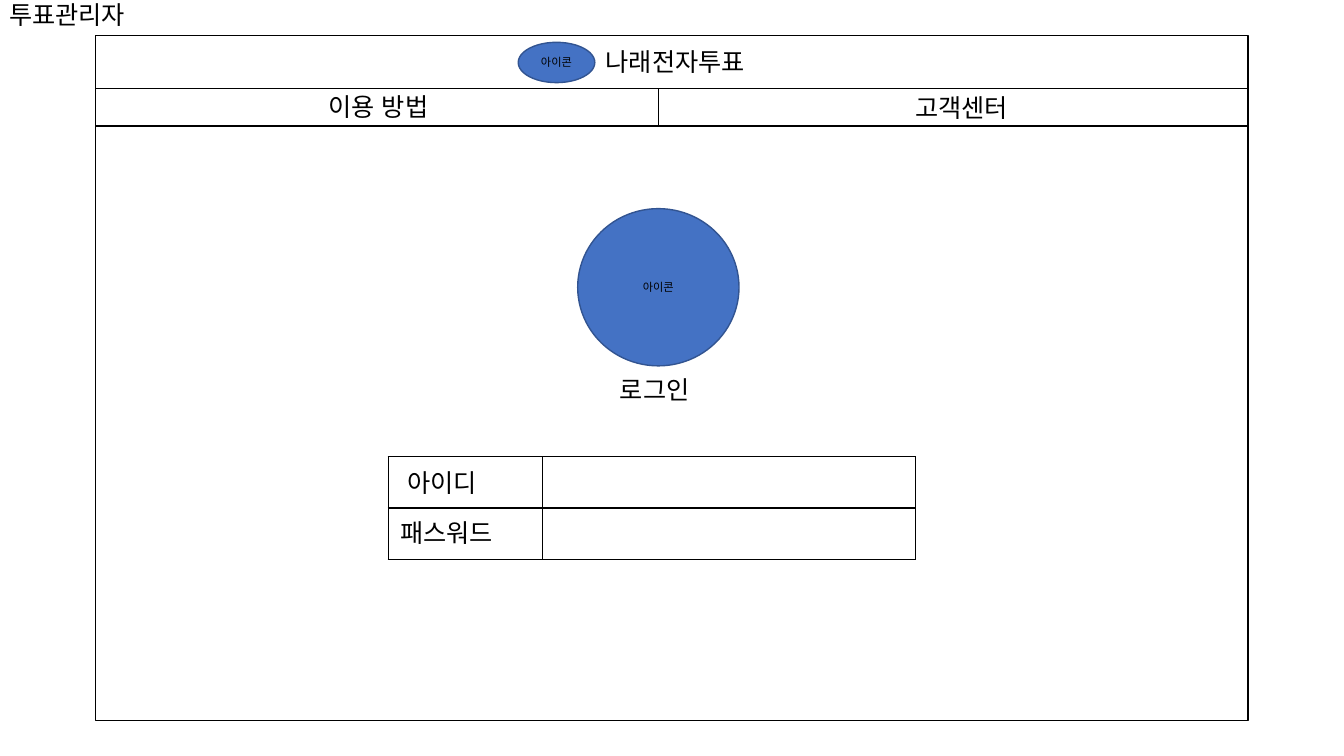
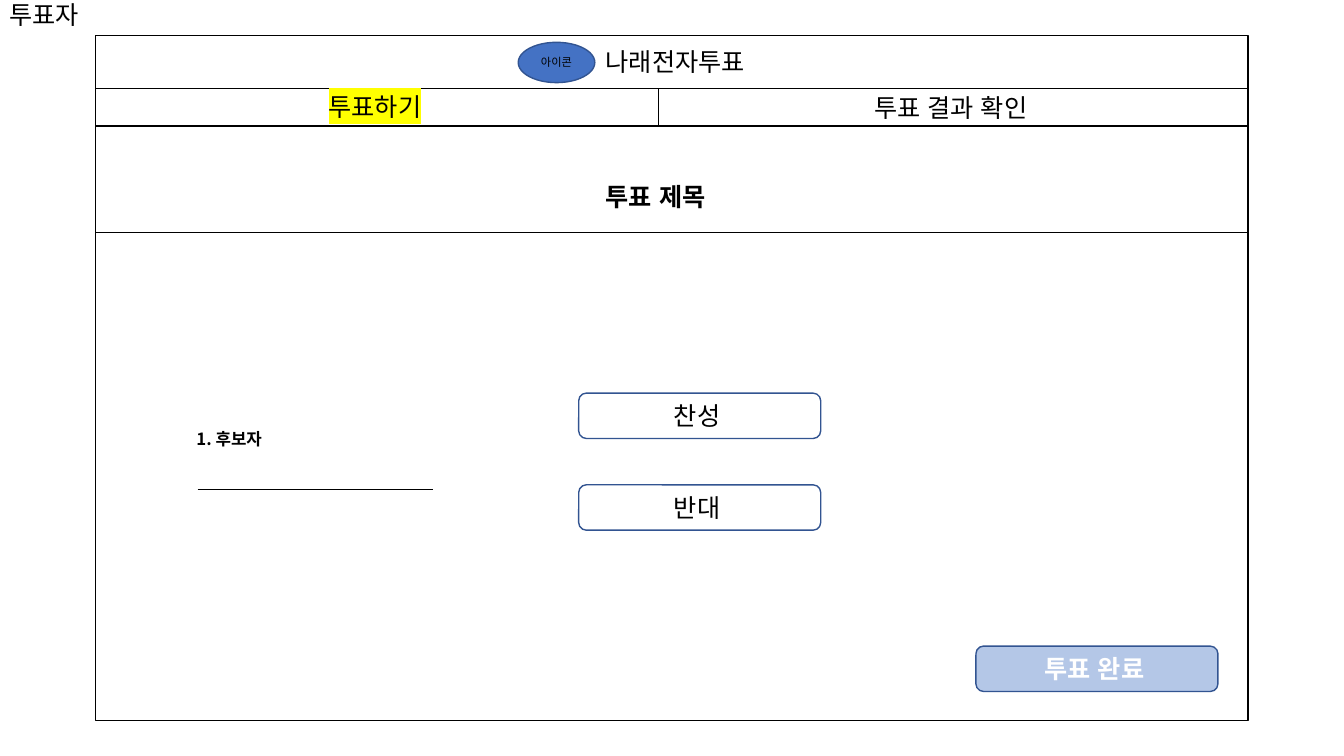
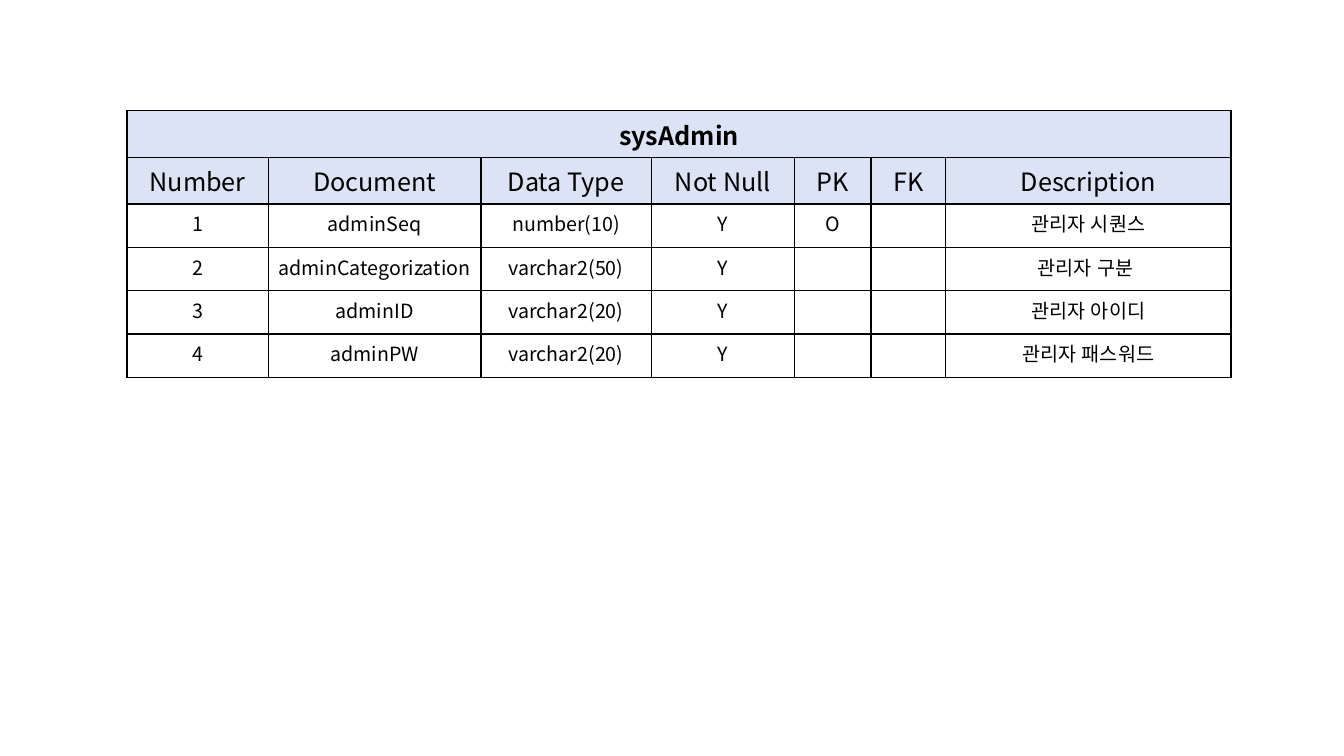
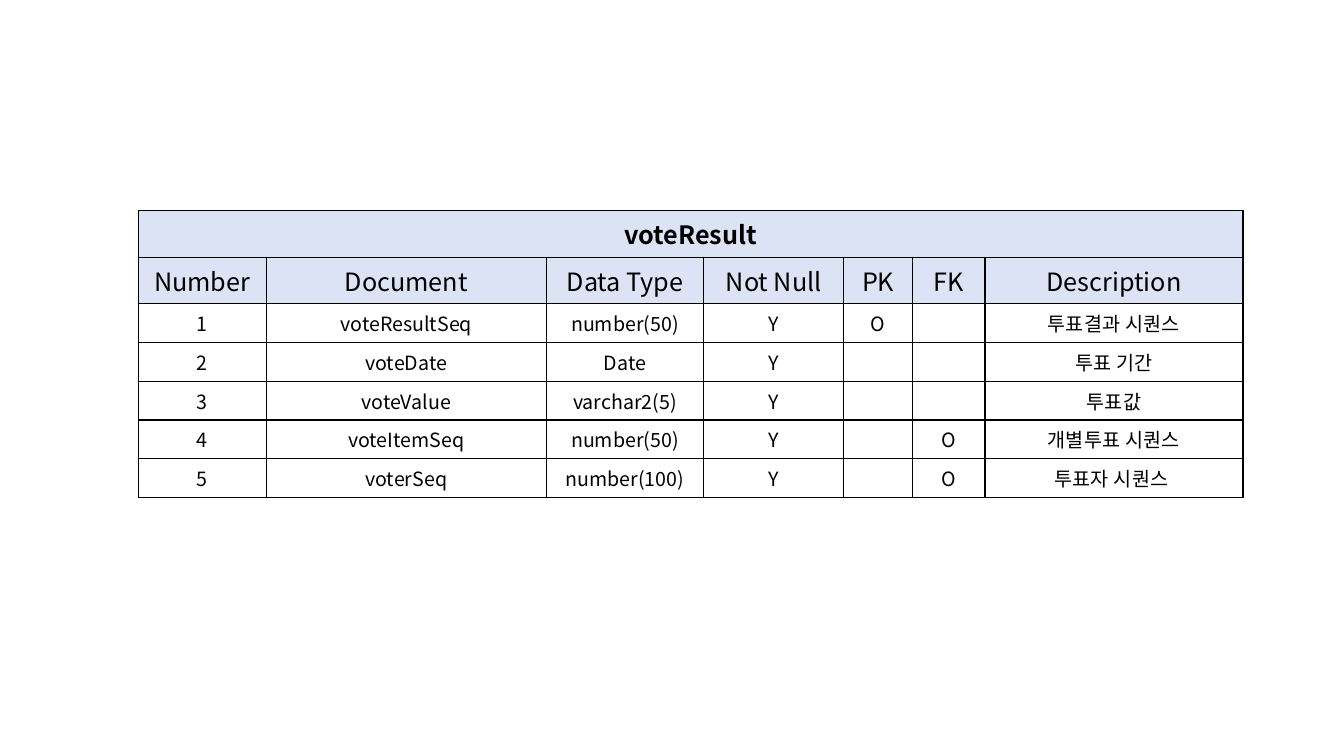
"""Build the voting screens and the database table sheets."""
from itertools import product

from lxml import etree
from pptx import Presentation
from pptx.dml.color import RGBColor
from pptx.enum import shapes, text
from pptx.oxml import ns
from pptx.util import Inches, Pt

COLORS = {
    "ink": "000000",
    "paper": "FFFFFF",
    "icon": "4472C4",
    "outline": "325491",
    "done": "B4C7E7",
    "heading": "DBE3F4",
    "marker": "FFFF00",
}
FONT = "Noto Sans CJK KR"
SCREEN = (0.95, 0.35, 11.43, 6.8)
HEADINGS = ["Number", "Document", "Data Type", "Not Null", "PK", "FK", "Description"]
LEFT, CENTER = text.PP_ALIGN.LEFT, text.PP_ALIGN.CENTER
TOP, MIDDLE = text.MSO_ANCHOR.TOP, text.MSO_ANCHOR.MIDDLE


def rgb(name):
    """Return the named colour."""
    return RGBColor.from_string(COLORS[name])


def inches(*lengths):
    """Convert lengths to Inches."""
    return [Inches(length) for length in lengths]


def write(frame, words, size=18, color="ink", bold=False, align=LEFT, marker=None):
    """Write one formatted paragraph into a text frame."""
    paragraph = frame.paragraphs[0]
    paragraph.alignment = align
    if not words:
        etree.SubElement(paragraph._p, ns.qn("a:endParaRPr"), sz=str(size * 100))
        return
    run = paragraph.add_run()
    run.text = words
    font = run.font
    font.size, font.bold, font.name = Pt(size), bold, FONT
    font.color.rgb = rgb(color)
    properties = run._r.get_or_add_rPr()
    properties.set("lang", "ko-KR")
    latin = properties.find(ns.qn("a:latin"))
    east_asian = etree.Element(ns.qn("a:ea"), typeface=FONT)
    latin.addnext(east_asian)
    if marker:
        highlight = etree.Element(ns.qn("a:highlight"))
        etree.SubElement(highlight, ns.qn("a:srgbClr"), val=COLORS[marker])
        latin.addprevious(highlight)


def label(slide, left, top, width, words, height=0.4, **style):
    """Place a text box."""
    box = slide.shapes.add_textbox(*inches(left, top, width, height))
    box.text_frame.word_wrap = True
    write(box.text_frame, words, **style)


def panel(slide, kind, box, fill=None, line="outline", words="", inset=0.1, **style):
    """Place an outlined shape with optional centred words."""
    shape = slide.shapes.add_shape(kind, *inches(*box))
    shape.shadow.inherit = False
    if fill:
        shape.fill.solid()
        shape.fill.fore_color.rgb = rgb(fill)
    else:
        shape.fill.background()
    shape.line.color.rgb = rgb(line)
    shape.line.width = Pt(1)
    if words:
        shape.text_frame.vertical_anchor = MIDDLE
        shape.text_frame.margin_right = Inches(inset)
        write(shape.text_frame, words, align=CENTER, **style)


def icon(slide, box):
    """Place an oval icon stand-in."""
    panel(slide, shapes.MSO_SHAPE.OVAL, box, "icon", words="아이콘", size=8)


def button(slide, left, top, words, fill="paper", **style):
    """Place a rounded button."""
    panel(slide, shapes.MSO_SHAPE.ROUNDED_RECTANGLE, (left, top, 2.4, 0.45),
          fill, words=words, inset=0.15, **style)


def rule(slide, start, end, width=0.75):
    """Draw a thin straight line."""
    line = slide.shapes.add_connector(
        shapes.MSO_CONNECTOR.STRAIGHT, *inches(*start, *end))
    line.line.color.rgb = rgb("ink")
    line.line.width = Pt(width)
    etree.SubElement(line._element.spPr, ns.qn("a:effectLst"))


def fill_cell(cell, fill=None):
    """Give a cell its fill and thin black borders."""
    if fill:
        cell.fill.solid()
        cell.fill.fore_color.rgb = rgb(fill)
    else:
        cell.fill.background()
    properties = cell._tc.get_or_add_tcPr()
    for index, side in enumerate(("lnL", "lnR", "lnT", "lnB")):
        border = etree.Element(ns.qn(f"a:{side}"), w=str(Pt(1)))
        solid = etree.SubElement(border, ns.qn("a:solidFill"))
        etree.SubElement(solid, ns.qn("a:srgbClr"), val=COLORS["ink"])
        properties.insert(index, border)


def grid(slide, left, top, widths, heights, heading_rows=0):
    """Place an empty bordered table and return it."""
    table = slide.shapes.add_table(
        len(heights), len(widths),
        *inches(left, top, sum(widths), sum(heights))).table
    table.first_row = table.horz_banding = False
    for column, width in zip(table.columns, widths):
        column.width = Inches(width)
    for row, height in zip(table.rows, heights):
        row.height = Inches(height)
    for row, column in product(range(len(heights)), range(len(widths))):
        fill_cell(table.cell(row, column), "heading" if row < heading_rows else None)
    return table


def screen(deck, role, box, tabs):
    """Add a slide with the role title, window frame, site name and tabs."""
    slide = deck.slides.add_slide(deck.slide_layouts[5])
    title = slide.shapes.title
    title.left, title.top, title.width, title.height = inches(-0.01, -0.06, 3.46, 0.4)
    title.text_frame.vertical_anchor = TOP
    write(title.text_frame, role)

    left, top, width, _ = box
    right, tabs_top, tabs_bottom = left + width, top + 0.53, top + 0.9
    panel(slide, shapes.MSO_SHAPE.RECTANGLE, box, line="ink")
    icon(slide, (left + 4.19, top + 0.07, 0.76, 0.4))
    label(slide, left + 4.96, top + 0.06, 1.85, "나래전자투표")
    for y in (tabs_top, tabs_bottom):
        rule(slide, (left, y), (right, y))
    rule(slide, (left + 5.58, tabs_top), (left + 5.58, tabs_bottom))
    for offset, drop, tab_width, words, marker in tabs:
        label(slide, left + offset, top + drop, tab_width, words, marker=marker)
    return slide


def login_form(slide, box):
    """Place the login icon, caption and entry fields in the window."""
    left, top = box[:2]
    icon(slide, (left + 4.78, top + 1.72, 1.6, 1.56))
    label(slide, left + 5.1, top + 3.31, 1.09, "로그인")
    grid(slide, left + 2.9, top + 4.18, [1.53, 3.7], [0.51] * 2)
    label(slide, left + 2.99, top + 4.24, 1.23, "아이디")
    label(slide, left + 2.92, top + 4.73, 1.37, "패스워드")


def ballot(slide, box):
    """Place the vote title, candidate and buttons in the window."""
    left, top, width, _ = box
    label(slide, left + 4.96, top + 1.4, 1.3, "투표 제목", bold=True)
    rule(slide, (left, top + 1.96), (left + width, top + 1.96), 0.5)
    label(slide, left + 0.9, top + 3.85, 1.3, "1. 후보자", height=0.3, size=12, bold=True)
    rule(slide, (left + 1.01, top + 4.5), (left + 3.34, top + 4.5), 0.5)
    for index, choice in enumerate(("찬성", "반대")):
        button(slide, left + 4.79, top + 3.55 + 0.91 * index, choice)
    button(slide, left + 8.73, top + 6.06, "투표 완료", "done", color="paper", bold=True)


def schema(deck, name, left, top, widths, row_height, records):
    """Add a slide with the column listing of one database table."""
    slide = deck.slides.add_slide(deck.slide_layouts[6])
    heights = [0.43] * 2 + [row_height] * len(records)
    table = grid(slide, left, top, widths, heights, heading_rows=2)
    table.cell(0, 0).merge(table.cell(0, len(widths) - 1))
    write(table.cell(0, 0).text_frame, name, bold=True, align=CENTER)
    numbered = [(str(number), *record) for number, record in enumerate(records, 1)]
    for row, values in enumerate([HEADINGS, *numbered], 1):
        for column, value in enumerate(values):
            write(table.cell(row, column).text_frame, value,
                  size=18 if row == 1 else 14, align=CENTER)


def main():
    """Build and save the deck."""
    deck = Presentation()
    deck.slide_width, deck.slide_height = inches(13.33, 7.5)

    login = screen(deck, "투표관리자", SCREEN, [
        (2.21, 0.51, 1.71, "이용 방법", None), (8.03, 0.52, 1.24, "고객센터", None)])
    login_form(login, SCREEN)

    voting = screen(deck, "투표자", SCREEN, [
        (2.21, 0.51, 1.71, "투표하기", "marker"),
        (7.62, 0.52, 2.35, "투표 결과 확인", None)])
    ballot(voting, SCREEN)

    schema(deck, "sysAdmin", 1.26, 1.1, [1.4, 2.11, 1.69, 1.42, 0.76, 0.74, 2.83], 0.43, [
        ("adminSeq", "number(10)", "Y", "O", "", "관리자 시퀀스"),
        ("adminCategorization", "varchar2(50)", "Y", "", "", "관리자 구분 "),
        ("adminID", "varchar2(20)", "Y", "", "", "관리자 아이디"),
        ("adminPW", "varchar2(20)", "Y", "", "", "관리자 패스워드"),
    ])
    schema(deck, "voteResult", 1.37, 2.09, [1.27, 2.78, 1.56, 1.39, 0.68, 0.72, 2.56], 0.34, [
        ("voteResultSeq", "number(50)", "Y", "O", "", "투표결과 시퀀스"),
        ("voteDate", "Date", "Y", "", "", "투표 기간"),
        ("voteValue", "varchar2(5)", "Y", "", "", "투표값"),
        ("voteItemSeq", "number(50)", "Y", "", "O", "개별투표 시퀀스"),
        ("voterSeq", "number(100)", "Y", "", "O", "투표자 시퀀스 "),
    ])
    deck.save("out.pptx")


if __name__ == "__main__":
    main()
